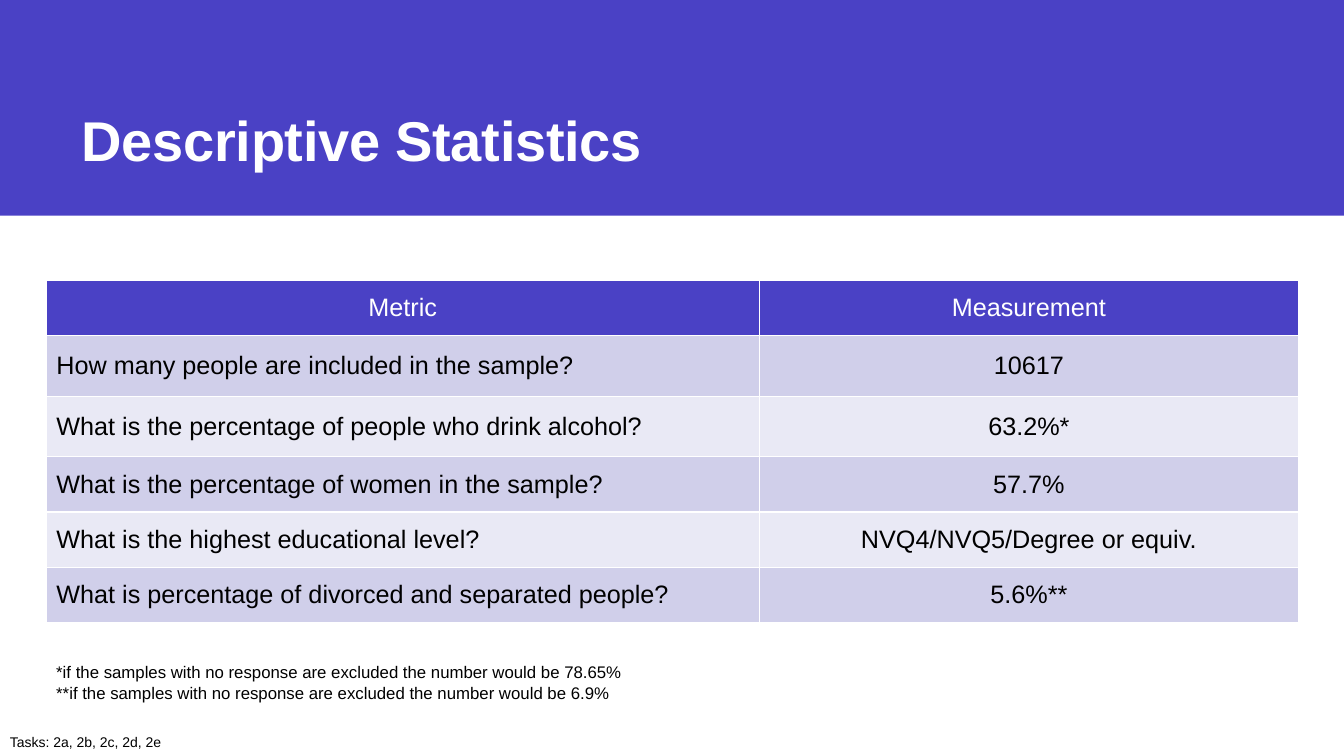
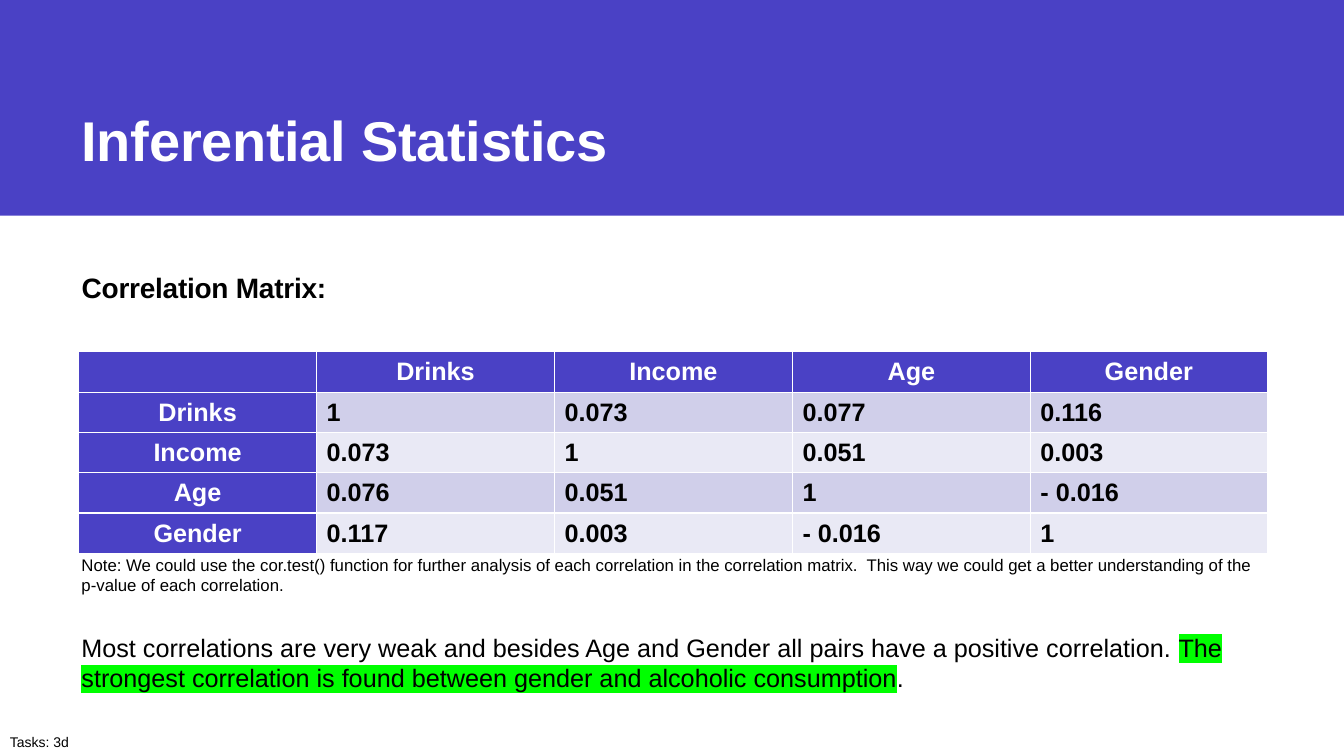
from dataclasses import dataclass
from typing import NamedTuple

from lxml.etree import SubElement
from pptx import Presentation
from pptx.dml.color import RGBColor
from pptx.enum.shapes import MSO_SHAPE
from pptx.enum.text import MSO_ANCHOR, MSO_AUTO_SIZE, PP_ALIGN
from pptx.oxml.ns import qn
from pptx.util import Emu, Pt

# Shared look
FONT = "Arial"
INDIGO = RGBColor(0x4A, 0x41, 0xC5)
LILAC = RGBColor(0xD0, 0xCF, 0xEA)
PALE = RGBColor(0xE9, 0xE9, 0xF5)
WHITE = RGBColor(0xFF, 0xFF, 0xFF)
BLACK = RGBColor(0x00, 0x00, 0x00)
LIME = RGBColor(0x00, 0xFF, 0x00)

PX = 9144  # 100 px to the inch
WIDE, HIGH = 1333, 750


class Box(NamedTuple):
    left: int
    top: int
    width: int
    height: int


@dataclass
class Grid:
    left: int
    top: int
    cols: list[int]
    rows: list[int]
    cells: list[list[str]]
    mid: int  # the body column that is centred
    bold: bool = False
    side: bool = False  # first column is coloured like the header


@dataclass
class Note:
    box: Box
    size: int
    lines: list[str]
    mark: str = ""  # highlighted part
    wrap: bool = True


@dataclass
class Page:
    title: str
    grid: Grid
    notes: list[Note]
    lead: str = ""


TITLE = Box(71, 40, 1179, 136)
LEAD = Box(71, 260, 1179, 78)
BAND = Box(0, 0, WIDE, 214)
NAMES = ["Drinks", "Income", "Age", "Gender"]


def task(text: str, width: int) -> Note:
    return Note(Box(0, 723, width, 27), 10, [text], wrap=False)


PAGES = [
    Page(
        "Descriptive Statistics",
        Grid(
            46, 278, [707, 535], [55, 60, 60, 55, 55, 55],
            [
                ["Metric", "Measurement"],
                ["How many people are included in the sample?", "10617"],
                ["What is the percentage of people who drink alcohol?", "63.2%*"],
                ["What is the percentage of women in the sample?", "57.7%"],
                ["What is the highest educational level?", "NVQ4/NVQ5/Degree or equiv."],
                ["What is percentage of divorced and separated people?", "5.6%**"],
            ],
            mid=1,
        ),
        [
            task("Tasks: 2a, 2b, 2c, 2d, 2e", 171),
            Note(Box(46, 652, 797, 50), 12, [
                "*if the samples with no response are excluded the number would be 78.65%",
                "**if the samples with no response are excluded the number would be 6.9%",
            ]),
        ],
    ),
    Page(
        "Inferential Statistics",
        Grid(
            78, 349, [236] * 4 + [235], [40] * 5,
            [
                ["", *NAMES],
                [NAMES[0], "1", "0.073", "0.077", "0.116"],
                [NAMES[1], "0.073", "1", "0.051", "0.003"],
                [NAMES[2], "0.076", "0.051", "1", "- 0.016"],
                [NAMES[3], "0.117", "0.003", "- 0.016", "1"],
            ],
            mid=0, bold=True, side=True,
        ),
        [
            task("Tasks: 3d", 79),
            Note(Box(71, 622, 1186, 101), 18, [
                "Most correlations are very weak and besides Age and Gender all pairs have "
                "a positive correlation. The strongest correlation is found between gender "
                "and alcoholic consumption.",
            ], mark="The strongest correlation is found between gender and alcoholic consumption"),
            Note(Box(71, 545, 1191, 50), 12, [
                "Note: We could use the cor.test() function for further analysis of each "
                "correlation in the correlation matrix.  This way we could get a better "
                "understanding of the p-value of each correlation.",
            ]),
        ],
        lead="Correlation Matrix:",
    ),
]


def emu(box: Box) -> list[Emu]:
    return [Emu(side * PX) for side in box]


def style(para, size: int, color: RGBColor, bold: bool = False) -> None:
    font = para.font
    font.name, font.size, font.bold = FONT, Pt(size), bold
    font.color.rgb = color


def place(shape, box: Box) -> None:
    shape.left, shape.top, shape.width, shape.height = emu(box)


def head(shape, box: Box, text: str, size: int, color: RGBColor, anchor: MSO_ANCHOR):
    """Fill a placeholder with one bold, slightly tightened line."""
    place(shape, box)
    frame = shape.text_frame
    frame.text = text
    frame.auto_size = MSO_AUTO_SIZE.NONE
    frame.vertical_anchor = anchor
    para = frame.paragraphs[0]
    para.alignment = PP_ALIGN.LEFT
    style(para, size, color, True)
    para.runs[0]._r.get_or_add_rPr().set("spc", "-20")
    return para


def plain(para) -> None:
    """Take away the bullet and its indent."""
    props = para._p.get_or_add_pPr()
    props.set("marL", "0")
    props.set("indent", "0")
    props.insert_element_before(
        props.makeelement(qn("a:buNone"), {}), "a:tabLst", "a:defRPr", "a:extLst")


def edge(cell) -> None:
    props = cell._tc.get_or_add_tcPr()
    for side in "LRTB":
        line = SubElement(props, qn(f"a:ln{side}"), w=str(Pt(1)))
        fill = SubElement(line, qn("a:solidFill"))
        SubElement(fill, qn("a:srgbClr"), val=str(WHITE))


def draw_grid(slide, grid: Grid) -> None:
    box = Box(grid.left, grid.top, sum(grid.cols), sum(grid.rows))
    table = slide.shapes.add_table(len(grid.rows), len(grid.cols), *emu(box)).table
    for col, width in zip(table.columns, grid.cols):
        col.width = Emu(width * PX)
    for i, (row, height) in enumerate(zip(table.rows, grid.rows)):
        row.height = Emu(height * PX)
        for j, cell in enumerate(row.cells):
            dark = i == 0 or (grid.side and j == 0)
            edge(cell)
            cell.fill.solid()
            cell.fill.fore_color.rgb = INDIGO if dark else (LILAC if i % 2 else PALE)
            cell.vertical_anchor = MSO_ANCHOR.MIDDLE
            cell.text = grid.cells[i][j]
            para = cell.text_frame.paragraphs[0]
            style(para, 18, WHITE if dark else BLACK, grid.bold)
            if i == 0 or j == grid.mid:
                para.alignment = PP_ALIGN.CENTER


def draw_note(slide, note: Note) -> None:
    frame = slide.shapes.add_textbox(*emu(note.box)).text_frame
    frame.word_wrap = note.wrap
    frame.auto_size = MSO_AUTO_SIZE.SHAPE_TO_FIT_TEXT
    for i, line in enumerate(note.lines):
        para = frame.add_paragraph() if i else frame.paragraphs[0]
        style(para, note.size, BLACK)
        for part in line.partition(note.mark) if note.mark else [line]:
            run = para.add_run()
            run.text = part
            if part == note.mark:
                light = SubElement(run._r.get_or_add_rPr(), qn("a:highlight"))
                SubElement(light, qn("a:srgbClr"), val=str(LIME))


def add_band(deck, slide) -> None:
    """Draw the title band and move it to the back of the master."""
    band = slide.shapes.add_shape(MSO_SHAPE.RECTANGLE, *emu(BAND))
    band.shadow.inherit = False
    band.fill.solid()
    band.fill.fore_color.rgb = INDIGO
    band.line.fill.background()
    band.element.nvSpPr.cNvPr.set("id", "99")
    deck.slide_master.shapes.element.insert(2, band.element)


def draw_page(deck, page: Page):
    # Layout 1 has a title and a body, layout 5 a title only
    slide = deck.slides.add_slide(deck.slide_layouts[1 if page.lead else 5])
    title = head(slide.shapes.title, TITLE, page.title, 40, WHITE, MSO_ANCHOR.BOTTOM)
    title.line_spacing = 1.0
    if page.lead:
        para = head(slide.placeholders[1], LEAD, page.lead, 20, BLACK, MSO_ANCHOR.TOP)
        para.line_spacing = 1.1
        para.space_before = Pt(10)
        plain(para)
    draw_grid(slide, page.grid)
    for note in page.notes:
        draw_note(slide, note)
    return slide


def main() -> None:
    deck = Presentation()
    deck.slide_width, deck.slide_height = Emu(WIDE * PX), Emu(HIGH * PX)
    slides = [draw_page(deck, page) for page in PAGES]
    add_band(deck, slides[0])
    deck.save("out.pptx")


if __name__ == "__main__":
    main()
